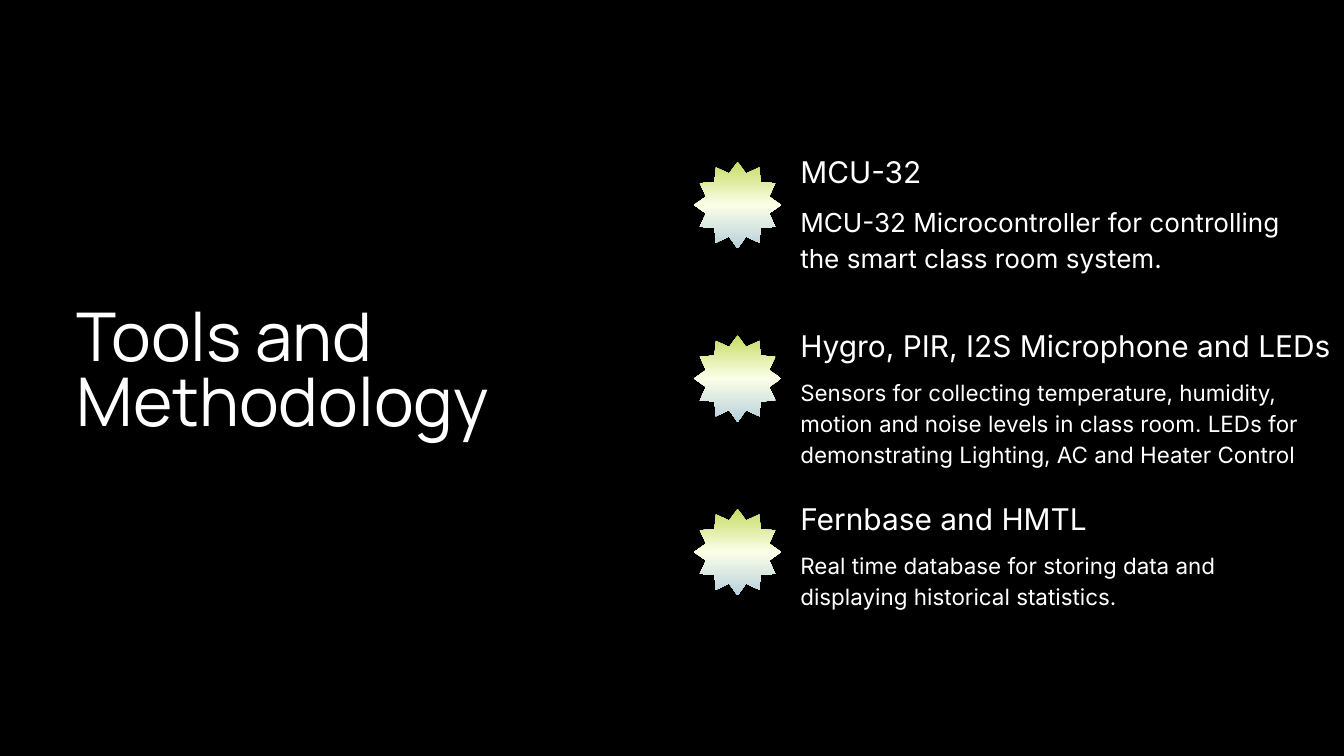
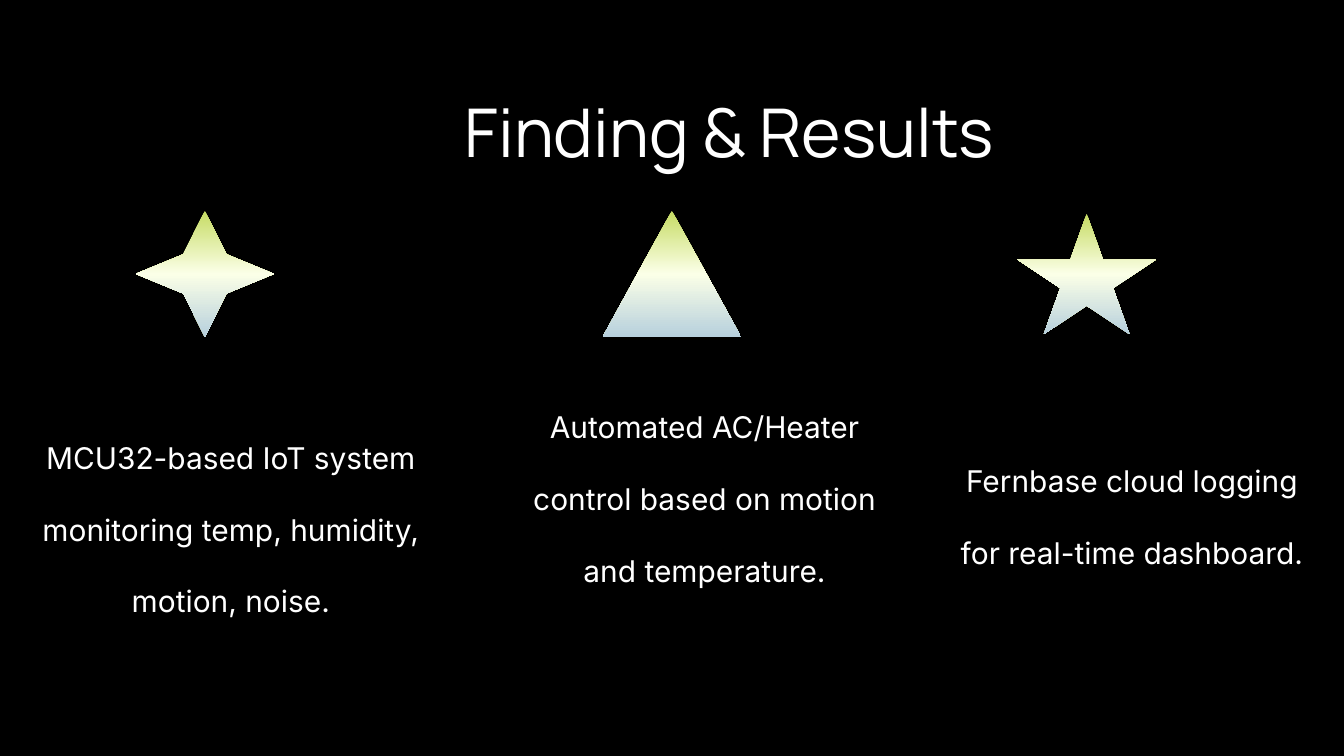
from dataclasses import dataclass

from lxml import etree
from pptx import Presentation
from pptx.dml.color import RGBColor
from pptx.enum import shapes, text
from pptx.oxml import ns
from pptx.util import Cm, Pt


@dataclass(frozen=True)
class Theme:
    background: str = "000000"
    ink: str = "FFFFFF"
    gradient: tuple = ((0, "C6DB63"), (50, "FBFFE7"), (100, "B7D0DD"))
    title_font: str = "Manrope"
    body_font: str = "Inter"
    title_size: int = 72
    heading_size: int = 32
    lead_size: int = 28
    detail_size: int = 24


THEME = Theme()
LEFT, CENTER = text.PP_ALIGN.LEFT, text.PP_ALIGN.CENTER
PRESET = shapes.MSO_SHAPE

# Content: heading, detail, detail size, detail height
TOOLS = [
    ("MCU-32",
     "MCU-32 Microcontroller for controlling the smart class room system.",
     THEME.lead_size, 2.74),
    ("Hygro, PIR, I2S Microphone and LEDs",
     "Sensors for collecting temperature, humidity, motion and noise levels in "
     "class room. LEDs for demonstrating Lighting, AC and Heater Control",
     THEME.detail_size, 3.53),
    ("Fernbase and HMTL",
     "Real time database for storing data and displaying historical statistics.",
     THEME.detail_size, 2.36),
]

# Content: icon, icon place, adjustments, finding, finding place
FINDINGS = [
    (PRESET.STAR_4_POINT, (5.13, 7.97, 5.23, 4.77), [0.22],
     "MCU32-based IoT system monitoring temp, humidity, motion, noise.",
     (0.46, 15.27, 16.54, 8.2)),
    (PRESET.ISOSCELES_TRIANGLE, (22.78, 7.97, 5.23, 4.77), [],
     "Automated AC/Heater control based on motion and temperature.",
     (19.13, 14.1, 15.01, 8.2)),
    (PRESET.STAR_5_POINT, (38.46, 8.08, 5.23, 4.55), [],
     "Fernbase cloud logging for real-time dashboard.",
     (36.2, 16.13, 13.18, 5.46)),
]


# Shared building blocks
def write(box, words, *, size, font=THEME.body_font, align=LEFT, spacing=1.2):
    frame = box.text_frame
    frame.word_wrap = True
    frame.auto_size = text.MSO_AUTO_SIZE.SHAPE_TO_FIT_TEXT
    frame.vertical_anchor = text.MSO_ANCHOR.TOP
    frame.margin_left = frame.margin_right = 0
    frame.margin_top = frame.margin_bottom = 0
    para = frame.paragraphs[0]
    para.alignment = align
    para.line_spacing = spacing
    para.space_before = Pt(0)
    span = para.add_run()
    span.text = words
    span.font.name = font
    span.font.size = Pt(size)
    span.font.color.rgb = RGBColor.from_string(THEME.ink)


def add_text(page, words, place, **style):
    write(page.shapes.add_textbox(*map(Cm, place)), words, **style)


def add_icon(page, preset, place, adjustments=()):
    icon = page.shapes.add_shape(preset, *map(Cm, place))
    for index, value in enumerate(adjustments):
        icon.adjustments[index] = value
    icon.shadow.inherit = False
    icon.line.fill.background()
    icon.fill.gradient()
    icon.fill.gradient_angle = 270  # runs from top to bottom
    stops = next(icon.element.iter(ns.qn("a:gsLst")))
    for stop in list(stops):
        stops.remove(stop)
    for percent, color in THEME.gradient:
        stop = etree.SubElement(stops, ns.qn("a:gs"), pos=str(percent * 1000))
        etree.SubElement(stop, ns.qn("a:srgbClr"), val=color)


def add_page(deck, title, place, **style):
    page = deck.slides.add_slide(deck.slide_layouts[5])
    box = page.shapes.title
    box.left, box.top, box.width, box.height = map(Cm, place)
    write(box, title, size=THEME.title_size, font=THEME.title_font, **style)
    return page


# Slides
def add_tools(deck):
    page = add_page(deck, "Tools and Methodology", (2.9, 11.73, 18.47, 4.93),
                    spacing=0.8)
    first_top, pitch = 5.54, 6.56
    text_left = 30.25
    for row, (heading, detail, size, height) in enumerate(TOOLS):
        top = first_top + row * pitch
        add_icon(page, PRESET.STAR_12_POINT, (26.24, top + 0.57, 3.28, 3.28))
        add_text(page, heading, (text_left, top, 20.5, 1.65),
                 size=THEME.heading_size)
        add_text(page, detail, (text_left, top + 2.07, 19.58, height),
                 size=size, spacing=1.15)


def add_findings(deck):
    page = add_page(deck, "Finding & Results", (15.8, 2.82, 23.55, 3.68),
                    align=CENTER)
    for preset, icon_place, adjustments, finding, text_place in FINDINGS:
        add_icon(page, preset, icon_place, adjustments)
        add_text(page, finding, text_place, size=THEME.heading_size,
                 align=CENTER, spacing=2.0)


def main():
    deck = Presentation()
    deck.slide_width, deck.slide_height = Cm(50.8), Cm(28.58)
    fill = deck.slide_master.background.fill
    fill.solid()
    fill.fore_color.rgb = RGBColor.from_string(THEME.background)
    add_tools(deck)
    add_findings(deck)
    deck.save("out.pptx")


if __name__ == "__main__":
    main()
